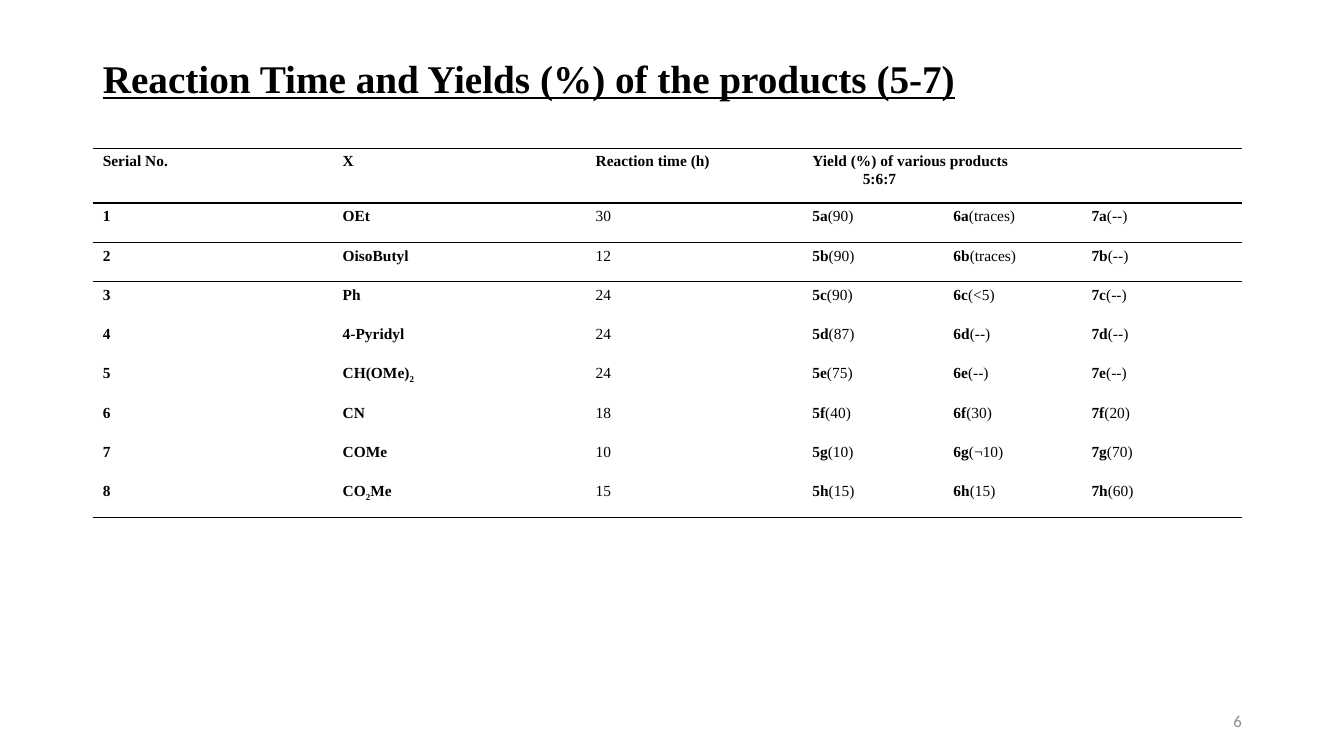
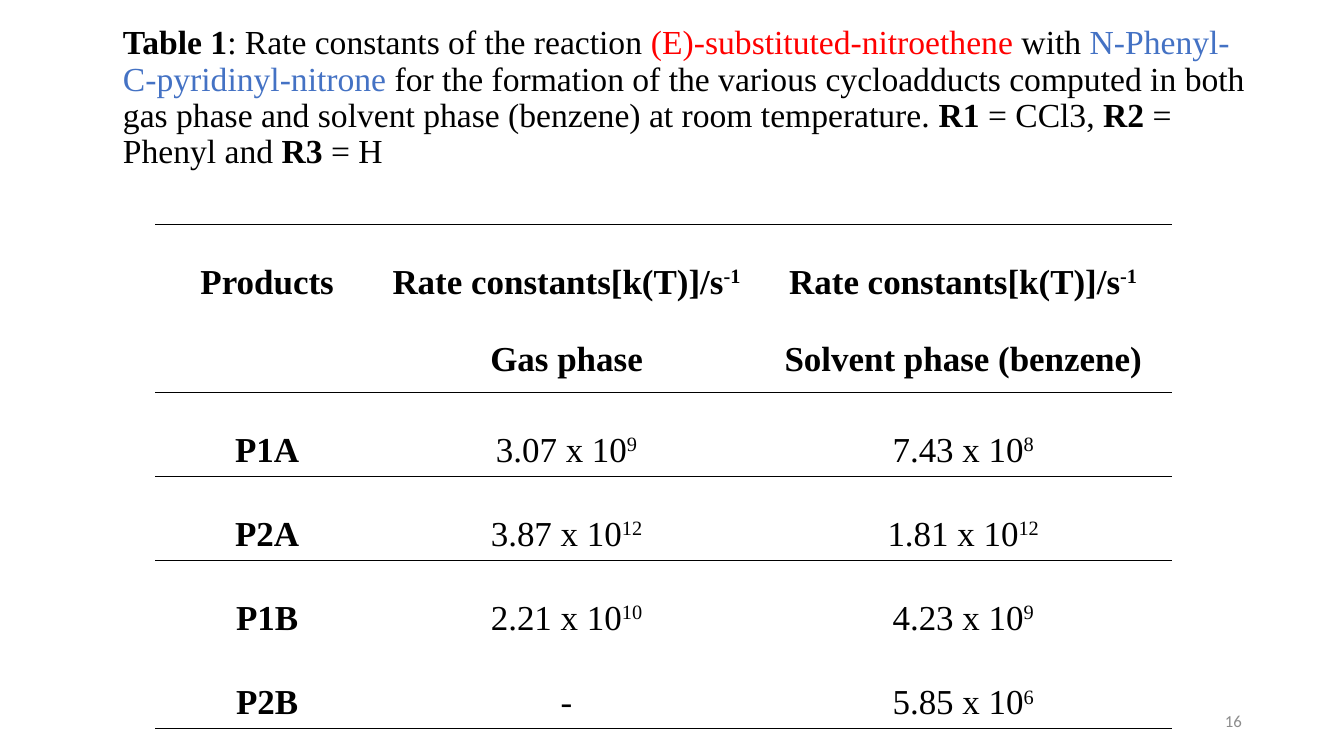
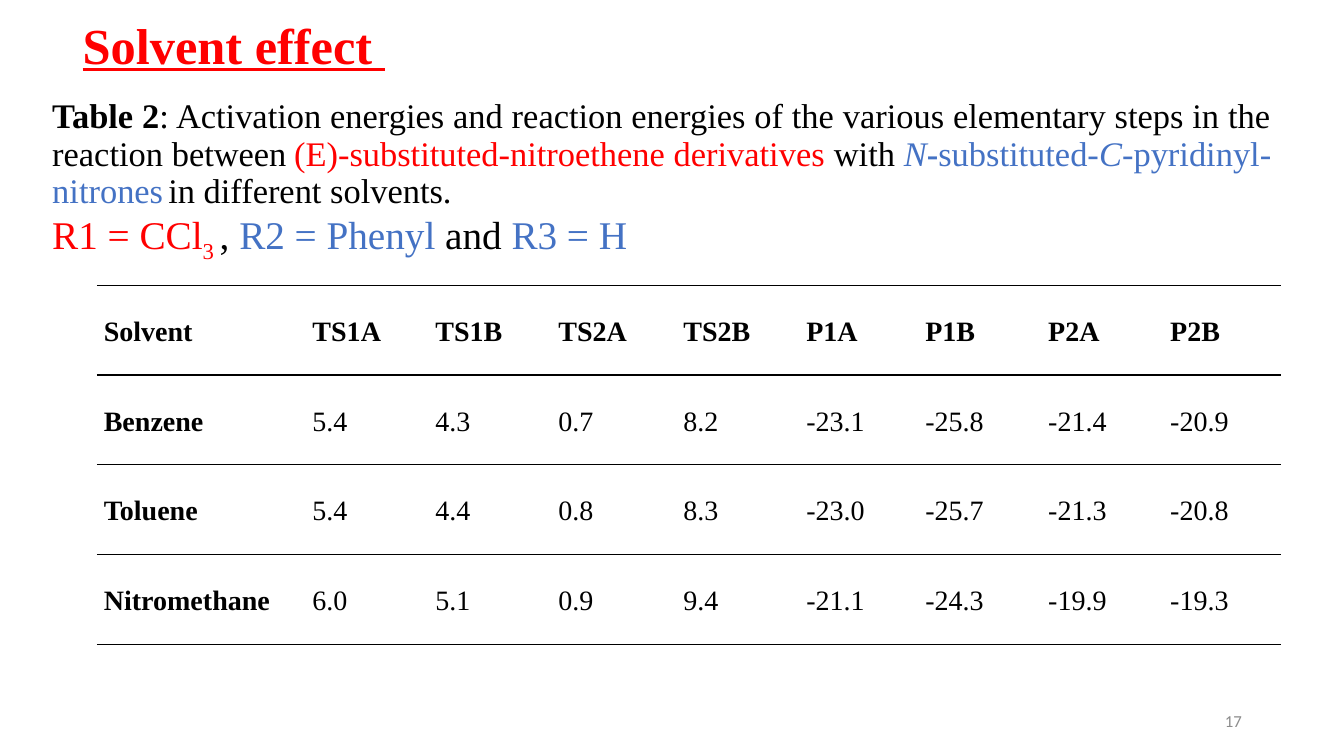
"""Builds three slides of cycloaddition results, each with a ruled table."""
from lxml import etree
from pptx import Presentation
from pptx import util as u
from pptx.dml.color import RGBColor
from pptx.enum import text as t
from pptx.oxml.ns import qn

COLORS = {"black": "000000", "red": "FF0000", "blue": "4472C4", "grey": "8C8C8C"}
SERIF = "Times New Roman"
LEFT, CENTER, RIGHT, JUSTIFY = (
    t.PP_ALIGN.LEFT, t.PP_ALIGN.CENTER, t.PP_ALIGN.RIGHT, t.PP_ALIGN.JUSTIFY)
PLAIN, BOLD, ITALIC = {}, {"bold": True}, {"italic": True}
RED, BLUE = {"color": "red"}, {"color": "blue"}
SUB, SUPER = {"baseline": "-25000"}, {"baseline": "30000"}
NO_STYLE_NO_GRID = "{2D5ABB26-0587-4C30-8999-92F81FD0307C}"

deck = Presentation()
deck.slide_width, deck.slide_height = u.Inches(13.33), u.Inches(7.5)
VW, VH = deck.slide_width / 100, deck.slide_height / 100


def write(paragraph, runs, size, align=LEFT, spacing=1.0, name=SERIF):
    """Fill a paragraph; what all runs share is set on the paragraph itself."""
    paragraph.alignment, paragraph.line_spacing = align, spacing
    base = {"name": name, "size": size, "color": "black"}
    styles = [{**base, **style} for _, style in runs]
    shared = set.intersection(*(set(style.items()) for style in styles))
    targets = [(paragraph.font, shared)]
    for (words, _), style in zip(runs, styles):
        run = paragraph.add_run()
        run.text = words
        targets.append((run.font, set(style.items()) - shared))
    for font, settings in targets:
        for key, value in settings:
            if key == "color":
                font.color.rgb = RGBColor.from_string(COLORS[value])
            elif key == "baseline":
                font._element.set("baseline", value)
            else:
                setattr(font, key, u.Pt(value) if key == "size" else value)


def add_ruled_table(slide, place, shares, heights, rows, size, align, spacing, insets):
    """Add a table ruled above and below its first two rows and at its foot."""
    left, top, width = place
    table = slide.shapes.add_table(
        len(rows), len(shares), int(left * VW), int(top * VH),
        int(width * VW), int(sum(heights) * VH)).table
    table.first_row = table.horz_banding = False
    table._tbl.tblPr.find(qn("a:tableStyleId")).text = NO_STYLE_NO_GRID
    for column, share in zip(table.columns, shares):
        column.width = int(width * VW * share / sum(shares))
    for row, height in zip(table.rows, heights):
        row.height = int(height * VH)
    ruled = {0, 1, 2, len(rows)}
    for r, row in enumerate(rows):
        for c, lines in enumerate(row):
            cell = table.cell(r, c)
            cell.margin_left = cell.margin_right = u.Inches(insets[0])
            cell.margin_top = cell.margin_bottom = u.Inches(insets[1])
            for edge, tag in ((r, "a:lnT"), (r + 1, "a:lnB")):
                if edge in ruled:
                    rule = etree.SubElement(
                        cell._tc.get_or_add_tcPr(), qn(tag), w=str(u.Pt(1)))
                    ink = etree.SubElement(rule, qn("a:solidFill"))
                    etree.SubElement(ink, qn("a:srgbClr"), val=COLORS["black"])
            cell.fill.background()
            for i, runs in enumerate(lines):
                frame = cell.text_frame
                paragraph = frame.add_paragraph() if i else frame.paragraphs[0]
                write(paragraph, runs, size, align, spacing)
    return table


headings = [
    ("6", (6.9, 5.33, 86.25, 10.8), 28,
     [("Reaction Time and Yields (%) of the products (5-7)",
       {"bold": True, "underline": True})]),
    ("16", (8.4, 4, 85.95, 18), 24,
     [("Table 1", BOLD), (": Rate constants of the reaction ", PLAIN),
      ("(E)-substituted-nitroethene ", RED), ("with ", PLAIN),
      ("N-Phenyl-C-pyridinyl-nitrone", BLUE),
      (" for the formation of the various cycloadducts computed in both gas phase "
       "and solvent phase (benzene) at room temperature. ", PLAIN),
      ("R1", BOLD), (" = CCl3, ", PLAIN), ("R2", BOLD), (" = Phenyl and ", PLAIN),
      ("R3", BOLD), (" = H", PLAIN)]),
    ("17", (5.4, 2, 87.75, 8.67), 36,
     [("Solvent effect ", {"bold": True, "underline": True, "color": "red"})]),
]
slides = []
for number, (left, top, width, height), size, runs in headings:
    slide = deck.slides.add_slide(deck.slide_layouts[5])
    title = slide.shapes.title
    title.left, title.top = int(left * VW), int(top * VH)
    title.width, title.height = int(width * VW), int(height * VH)
    title.text_frame.auto_size = t.MSO_AUTO_SIZE.NONE
    title.text_frame.vertical_anchor = t.MSO_ANCHOR.MIDDLE
    write(title.text_frame.paragraphs[0], runs, size, spacing=0.9)
    page = slide.shapes.add_textbox(
        int(70.65 * VW), int(92.67 * VH), int(22.5 * VW), int(5.33 * VH)).text_frame
    page.word_wrap, page.vertical_anchor = True, t.MSO_ANCHOR.MIDDLE
    write(page.paragraphs[0], [(number, {"color": "grey"})], 12, RIGHT, name="Calibri")
    slides.append(slide)
yields_slide, rates_slide, solvent_slide = slides

yields = [
    ([("OEt", BOLD)], "30", "90", "traces", "--"),
    ([("OisoButyl", BOLD)], "12", "90", "traces", "--"),
    ([("Ph", BOLD)], "24", "90", "<5", "--"),
    ([("4-Pyridyl", BOLD)], "24", "87", "--", "--"),
    ([("CH(OMe)", BOLD), ("2", {**BOLD, **SUB})], "24", "75", "--", "--"),
    ([("CN", BOLD)], "18", "40", "30", "20"),
    ([("COMe", BOLD)], "10", "10", "¬10", "70"),
    ([("CO", BOLD), ("2", {**BOLD, **SUB}), ("Me", BOLD)], "15", "15", "15", "60"),
]
yield_rows = [[[[(label, BOLD)]] for label in ("Serial No.", "X", "Reaction time (h)")]
              + [[[("Yield (%) of various products", BOLD)], [("5:6:7", BOLD)]]]]
for serial, (group, hours, *percents) in enumerate(yields, 1):
    letter = "abcdefgh"[serial - 1]
    yield_rows.append(
        [[[(str(serial), BOLD)]], [group], [[(hours, PLAIN)]]]
        + [[[(f"{product}{letter}", BOLD), (f"({percent})", PLAIN)]]
           for product, percent in enumerate(percents, 5)])
yield_rows[0] += [[], []]
yield_table = add_ruled_table(
    yields_slide, (6.9, 19.6, 85.5), (2.38, 2.51, 2.15, 1.4, 1.37, 1.59),
    [7.25] + [5.2] * 8, yield_rows, 11, LEFT, 1.0, (0.1, 0.05))
yield_table.cell(0, 3).merge(yield_table.cell(0, 5))
ratio = yield_table.cell(0, 3).text_frame.paragraphs[1]
ratio._p.get_or_add_pPr().set("marL", str(u.Inches(0.5)))

rates = [
    ("P1A", ("3.07 x 10", "9"), ("7.43 x 10", "8")),
    ("P2A", ("3.87 x 10", "12"), ("1.81 x 10", "12")),
    ("P1B", ("2.21 x 10", "10"), ("4.23 x 10", "9")),
    ("P2B", ("-",), ("5.85 x 10", "6")),
]
rate_constant = [("Rate constants[k(T)]/s", BOLD), ("-1", {**BOLD, **SUPER})]
rate_rows = [[[[("Products", BOLD)]]]
             + [[rate_constant, [(phase, BOLD)]]
                for phase in ("Gas phase", "Solvent phase (benzene)")]]
for product, *values in rates:
    rate_rows.append([[[(product, BOLD)]]]
                     + [[list(zip(value, (PLAIN, SUPER)))] for value in values])
add_ruled_table(rates_slide, (11.55, 29.73, 75.68), (2.22, 3.72, 4.15),
                [20.8] + [9.6] * 4, rate_rows, 25, CENTER, 2.0, (0.07, 0))

caption = solvent_slide.shapes.add_textbox(
    int(3.15 * VW), int(18.13 * VH), int(92.18 * VW), int(16.8 * VH)).text_frame
caption.word_wrap, caption.vertical_anchor = True, t.MSO_ANCHOR.BOTTOM
write(caption.paragraphs[0], [
    ("Table 2", BOLD),
    (": Activation energies and reaction energies of the various elementary steps "
     "in the reaction between", PLAIN),
    (" ", {"size": 20.5}), ("(E)-substituted-nitroethene derivatives", RED),
    (" with ", PLAIN), ("N", {**BLUE, **ITALIC}), ("-", {**BLUE, **BOLD}),
    ("substituted-", BLUE), ("C-", {**BLUE, **ITALIC}), ("pyridinyl-nitrones", BLUE),
    (" ", {"size": 14.4}), ("in different solvents.", PLAIN)], 24.6, JUSTIFY, 0.9)
write(caption.add_paragraph(), [
    ("R1 = CCl", RED), ("3 ", {**RED, **SUB}), (", ", PLAIN), ("R2 = Phenyl ", BLUE),
    ("and ", PLAIN), ("R3 = H", BLUE)], 28, JUSTIFY, 0.9)

energies = [
    ("Solvent", "TS1A", "TS1B", "TS2A", "TS2B", "P1A", "P1B", "P2A", "P2B"),
    ("Benzene", "5.4", "4.3", "0.7", "8.2", "-23.1", "-25.8", "-21.4", "-20.9"),
    ("Toluene", "5.4", "4.4", "0.8", "8.3", "-23.0", "-25.7", "-21.3", "-20.8"),
    ("Nitromethane", "6.0", "5.1", "0.9", "9.4", "-21.1", "-24.3", "-19.9", "-19.3"),
]
energy_rows = [[[[(entry, BOLD if r == 0 or c == 0 else PLAIN)]]
                for c, entry in enumerate(row)] for r, row in enumerate(energies)]
add_ruled_table(solvent_slide, (7.2, 37.73, 88.13),
                (2.07, 1.22, 1.22, 1.24, 1.22, 1.18, 1.22, 1.21, 1.17),
                [11.87] * 4, energy_rows, 20, JUSTIFY, 2.0, (0.07, 0))

deck.save("out.pptx")
